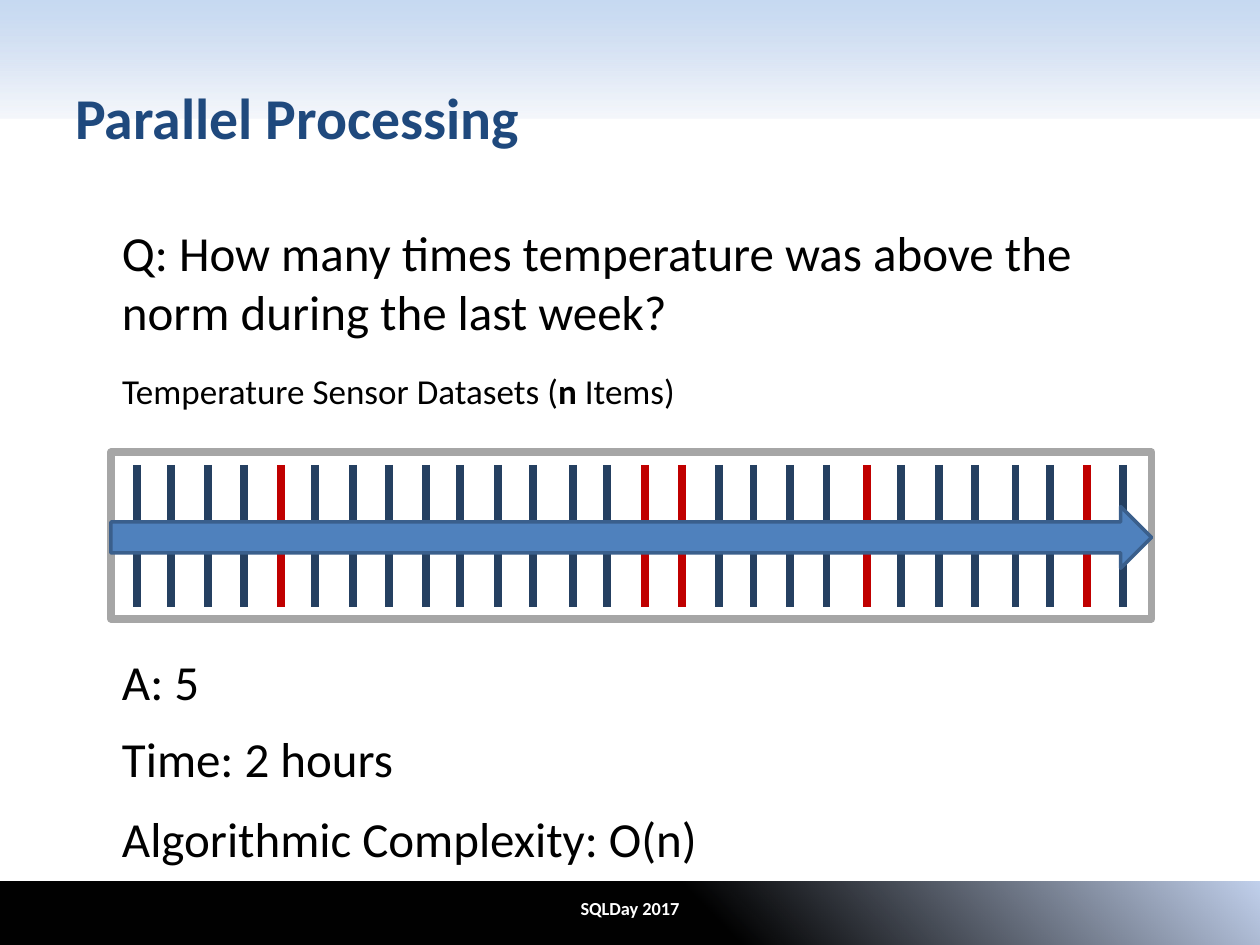
import pptx
import pptx.util
import pptx.dml.color
import pptx.enum.shapes
import pptx.enum.text
import pptx.oxml
import pptx.oxml.ns
from lxml import etree

Inches, Pt = pptx.util.Inches, pptx.util.Pt
Kind = pptx.enum.shapes.MSO_SHAPE
Align = pptx.enum.text.PP_ALIGN
Anchor = pptx.enum.text.MSO_ANCHOR


def color(code):
    return pptx.dml.color.RGBColor.from_string(code)


class Deck:
    font = "Calibri"

    def __init__(self, wide, high):
        self.prs = pptx.Presentation()
        self.prs.slide_width = Inches(wide)
        self.prs.slide_height = Inches(high)
        self.slide = self.prs.slides.add_slide(self.prs.slide_layouts[6])

    def shape(self, kind, box, fill=None, line=None, width=0):
        item = self.slide.shapes.add_shape(kind, *map(Inches, box))
        item.shadow.inherit = False
        if fill:
            item.fill.solid()
            item.fill.fore_color.rgb = color(fill)
        if line:
            item.line.color.rgb = color(line)
            item.line.width = Pt(width)
        else:
            item.line.fill.background()
        return item

    def band(self, box, stops, angle):
        """Rectangle with a gradient; stops are (place, colour, opacity) in percent."""
        item = self.shape(Kind.RECTANGLE, box)
        marks = "".join(
            f'<a:gs pos="{place * 1000}"><a:srgbClr val="{code}">'
            f'<a:alpha val="{alpha * 1000}"/></a:srgbClr></a:gs>'
            for place, code, alpha in stops)
        grad = pptx.oxml.parse_xml(
            f'<a:gradFill {pptx.oxml.ns.nsdecls("a")} rotWithShape="1">'
            f'<a:gsLst>{marks}</a:gsLst>'
            f'<a:lin ang="{angle * 60000}" scaled="0"/></a:gradFill>')
        item.element.spPr.find(pptx.oxml.ns.qn("a:prstGeom")).addnext(grad)

    def bar(self, x, top, end, code, width):
        line = self.slide.shapes.add_connector(
            pptx.enum.shapes.MSO_CONNECTOR.STRAIGHT,
            Inches(x), Inches(top), Inches(x), Inches(end))
        line.line.color.rgb = color(code)
        line.line.width = Pt(width)
        etree.SubElement(line.element.spPr, pptx.oxml.ns.qn("a:effectLst"))

    def text(self, box, runs, size, code="000000", bold=None,
             align=Align.LEFT, anchor=Anchor.TOP):
        """Text box with one paragraph; runs are (words, bold) pairs or a string."""
        frame = self.slide.shapes.add_textbox(*map(Inches, box)).text_frame
        frame.word_wrap = True
        frame.vertical_anchor = anchor
        para = frame.paragraphs[0]
        para.alignment = align
        para.font.name = self.font
        para.font.size = Pt(size)
        para.font.color.rgb = color(code)
        para.font.bold = bold
        for words, strong in [(runs, None)] if isinstance(runs, str) else runs:
            run = para.add_run()
            run.text = words
            run.font.bold = strong


def main():
    deck = Deck(10, 7.5)

    # Header and footer bands, two layers each
    head = [(0, "DCE6F2", 41), (0, "C6D9F1", 100), (100, "E1E8F5", 16)]
    foot = [(56, "000000", 93), (100, "C2D1ED", 100), (100, "E1E8F5", 16)]
    for layer in range(2):
        deck.band((0, 0, 10, 0.94), head, 90)
        deck.band((0, 7, 10, 0.51), foot, 315)
    deck.text((2.79, 7, 4.42, 0.42), "SQLDay 2017", 10.5, "FFFFFF", True,
              Align.CENTER, Anchor.MIDDLE)

    # Title
    deck.text((0.5, 0.3, 9, 1.25), "Parallel Processing", 33, "1F497D", True,
              anchor=Anchor.MIDDLE)

    # Data set: one bar per item, red above the norm
    deck.shape(Kind.RECTANGLE, (0.88, 3.59, 8.26, 1.32), "FFFFFF", "A6A6A6", 4.5)
    items = [1.09, 1.36, 1.65, 1.94, 2.23, 2.5, 2.8, 3.09, 3.38, 3.65,
             3.95, 4.23, 4.55, 4.82, 5.12, 5.41, 5.71, 5.98, 6.27, 6.56,
             6.88, 7.15, 7.45, 7.74, 8.06, 8.33, 8.63, 8.91]
    hot = {2.23, 5.12, 5.41, 6.88, 8.63}
    for x in items:
        deck.bar(x, 3.69, 4.82, "C00000" if x in hot else "254061", 4.5)

    # Question
    deck.text((0.87, 2.88, 7.18, 0.44),
              [("Temperature Sensor Datasets (", None), ("n", True),
               (" Items)", None)], 20)
    deck.text((0.87, 1.72, 8.26, 1.04),
              "Q: How many times temperature was above the norm "
              "during the last week?", 28)

    # Scan arrow
    deck.shape(Kind.RIGHT_ARROW, (0.88, 4.02, 8.26, 0.49), "4F81BD", "3A5F8C", 2)

    # Answers
    for top, words in [(5.12, "A: 5"), (5.73, "Time: 2 hours"),
                       (6.37, "Algorithmic Complexity: O(n)")]:
        deck.text((0.87, top, 8.26, 0.57), words, 28)

    deck.prs.save("out.pptx")


if __name__ == "__main__":
    main()
